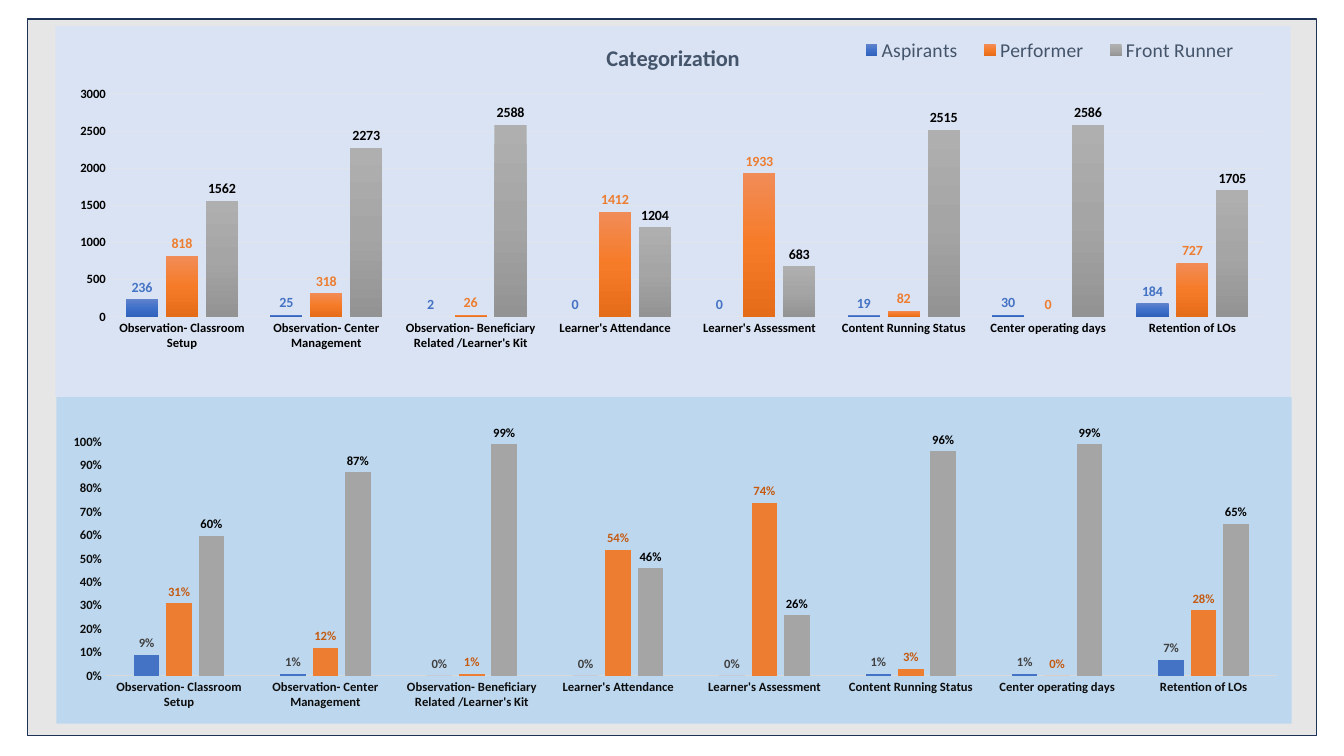
"""Build a slide with learner categorization as counts and as percentages."""
from copy import deepcopy
from pptx import Presentation
from pptx.chart.data import CategoryChartData
from pptx.dml.color import RGBColor
from pptx.enum.chart import XL_CHART_TYPE as ChartType, XL_LABEL_POSITION as LabelSpot
from pptx.enum.chart import XL_LEGEND_POSITION as LegendSpot, XL_TICK_MARK as Tick
from pptx.enum.shapes import MSO_SHAPE as Shape
from pptx.oxml import parse_xml
from pptx.oxml.ns import nsdecls, qn
from pptx.util import Inches, Pt

COLORS = {
    "panel": "E7E6E6", "border": "1E3256", "title": "44546A", "black": "000000",
    "counts": "DAE3F3", "shares": "BDD7EE", "grid": "E0E5EB", "axis": "D9D9D9",
    "ink": "0D0D0D", "dark": "404040", "rust": "C55A11",
    "blue": "4472C4", "orange": "ED7D31", "gray": "A5A5A5",
}
CATEGORIES = [
    "Observation- Classroom Setup", "Observation- Center Management",
    "Observation- Beneficiary Related /Learner's Kit", "Learner's Attendance",
    "Learner's Assessment", "Content Running Status", "Center operating days",
    "Retention of LOs",
]
CHARTS = [
    {
        "box": (0.55, 0.26, 12.25, 3.68), "fill": "counts", "format": "General",
        "plot": (0.044, 0.183, 0.935, 0.601), "gap": 100, "overlap": -24,
        "max": 3000, "step": 500, "line": "grid", "ink": "black", "size": 10,
        "headed": True,
        "series": [
            ("Aspirants", [236, 25, 2, 0, 0, 19, 30, 184], "blue",
             ["6183CB", "3E70CA", "3062BB"]),
            ("Performer", [818, 318, 26, 1412, 1933, 82, 0, 727], "orange",
             ["F18C57", "F67B28", "E56C19"]),
            ("Front Runner", [1562, 2273, 2588, 1204, 683, 2515, 2586, 1705], "black",
             ["AFAFAF", "A5A5A5", "939393"]),
        ],
    },
    {
        "box": (0.56, 3.94, 12.25, 3.24), "fill": "shares", "format": "0%",
        "plot": (0.04, 0.137, 0.948, 0.717), "gap": 219, "overlap": -27,
        "max": 1, "step": 0.1, "line": "axis", "ink": "ink", "size": 9,
        "headed": False,
        "series": [
            ("Series 1", [0.09, 0.01, 0, 0, 0, 0.01, 0.01, 0.07], "dark",
             [COLORS["blue"]]),
            ("Series 2", [0.31, 0.12, 0.01, 0.54, 0.74, 0.03, 0, 0.28], "rust",
             [COLORS["orange"]]),
            ("Series 3", [0.6, 0.87, 0.99, 0.46, 0.26, 0.96, 0.99, 0.65], "black",
             [COLORS["gray"]]),
        ],
    },
]


def set_font(font, size, color, bold):
    for name, value in {"name": "Calibri", "size": Pt(size), "bold": bold}.items():
        setattr(font, name, value)
    font.color.rgb = RGBColor.from_string(COLORS[color])


def set_layout(parent, index, bounds, inner):
    for old in parent.findall(qn("c:layout")):
        parent.remove(old)
    target = '<c:layoutTarget val="inner"/>' if inner else ""
    modes = '<c:xMode val="edge"/><c:yMode val="edge"/>'
    values = "".join(f'<c:{key} val="{value}"/>' for key, value in zip("xywh", bounds))
    parent.insert(index, parse_xml(
        f'<c:layout {nsdecls("c")}><c:manualLayout>{target}{modes}{values}'
        '</c:manualLayout></c:layout>'))


deck = Presentation()
deck.slide_width, deck.slide_height = Inches(13.33), Inches(7.5)
page = deck.slides.add_slide(deck.slide_layouts[6])

panel = page.shapes.add_shape(
    Shape.RECTANGLE, Inches(0.27), Inches(0.19), Inches(12.79), Inches(7.11))
panel.shadow.inherit = False
panel.fill.solid()
panel.fill.fore_color.rgb = RGBColor.from_string(COLORS["panel"])
panel.line.color.rgb = RGBColor.from_string(COLORS["border"])
panel.line.width = Pt(1)

for design in CHARTS:
    data = CategoryChartData(number_format=design["format"])
    data.categories = CATEGORIES
    for name, values, ink, stops in design["series"]:
        data.add_series(name, values)
    chart = page.shapes.add_chart(
        ChartType.COLUMN_CLUSTERED, *map(Inches, design["box"]), data).chart
    set_font(chart.font, 10, "black", False)
    space = chart.font._element if hasattr(chart.font, "_element") else chart._chartSpace
    space = chart._chartSpace
    space.find(qn("c:txPr")).addprevious(parse_xml(
        f'<c:spPr {nsdecls("c", "a")}><a:solidFill>'
        f'<a:srgbClr val="{COLORS[design["fill"]]}"/></a:solidFill>'
        '<a:ln><a:noFill/></a:ln></c:spPr>'))
    set_layout(space.chart.plotArea, 0, design["plot"], True)

    chart.has_title = chart.has_legend = design["headed"]
    if design["headed"]:
        para = chart.chart_title.text_frame.paragraphs[0]
        span = para.add_run()
        span.text = "Categorization"
        set_font(span.font, 16, "title", True)
        chart.legend.position = LegendSpot.BOTTOM
        chart.legend.include_in_layout = False
        set_font(chart.legend.font, 14, "title", False)
        set_layout(chart.legend._element, 1, (0.64, 0.02, 0.33, 0.09), False)

    for axis in (chart.category_axis, chart.value_axis):
        axis.major_tick_mark = axis.minor_tick_mark = Tick.NONE
        set_font(axis.tick_labels.font, 9, design["ink"], True)
    line = chart.category_axis.format.line
    line.color.rgb = RGBColor.from_string(COLORS[design["line"]])
    line.width = Pt(0.75)
    scale = chart.value_axis
    scale.minimum_scale, scale.maximum_scale = 0, design["max"]
    scale.major_unit = design["step"]
    scale.tick_labels.number_format = design["format"]
    scale.tick_labels.number_format_is_linked = False
    scale.format.line.fill.background()
    scale.has_major_gridlines = design["headed"]
    if design["headed"]:
        grid = scale.major_gridlines.format.line
        grid.color.rgb = RGBColor.from_string(COLORS["grid"])
        grid.width = Pt(0.75)

    plot = chart.plots[0]
    plot.vary_by_categories = False
    plot.gap_width, plot.overlap = design["gap"], design["overlap"]
    for series, (name, values, ink, stops) in zip(plot.series, design["series"]):
        series.invert_if_negative = False
        fill = series.format.fill
        if len(stops) == 1:
            fill.solid()
            fill.fore_color.rgb = RGBColor.from_string(stops[0])
        else:
            fill.gradient()
            fill.gradient_angle = 270
            stop_list = series._element.find(".//" + qn("a:gsLst"))
            stop_list.append(deepcopy(stop_list[-1]))
            for index, stop in enumerate(fill.gradient_stops):
                stop.position = index / 2
                stop.color.rgb = RGBColor.from_string(stops[index])
        labels = series.data_labels
        for key, value in {"show_value": True, "position": LabelSpot.OUTSIDE_END,
                           "number_format": design["format"],
                           "number_format_is_linked": False}.items():
            setattr(labels, key, value)
        set_font(labels.font, design["size"], ink, True)

deck.save("out.pptx")
